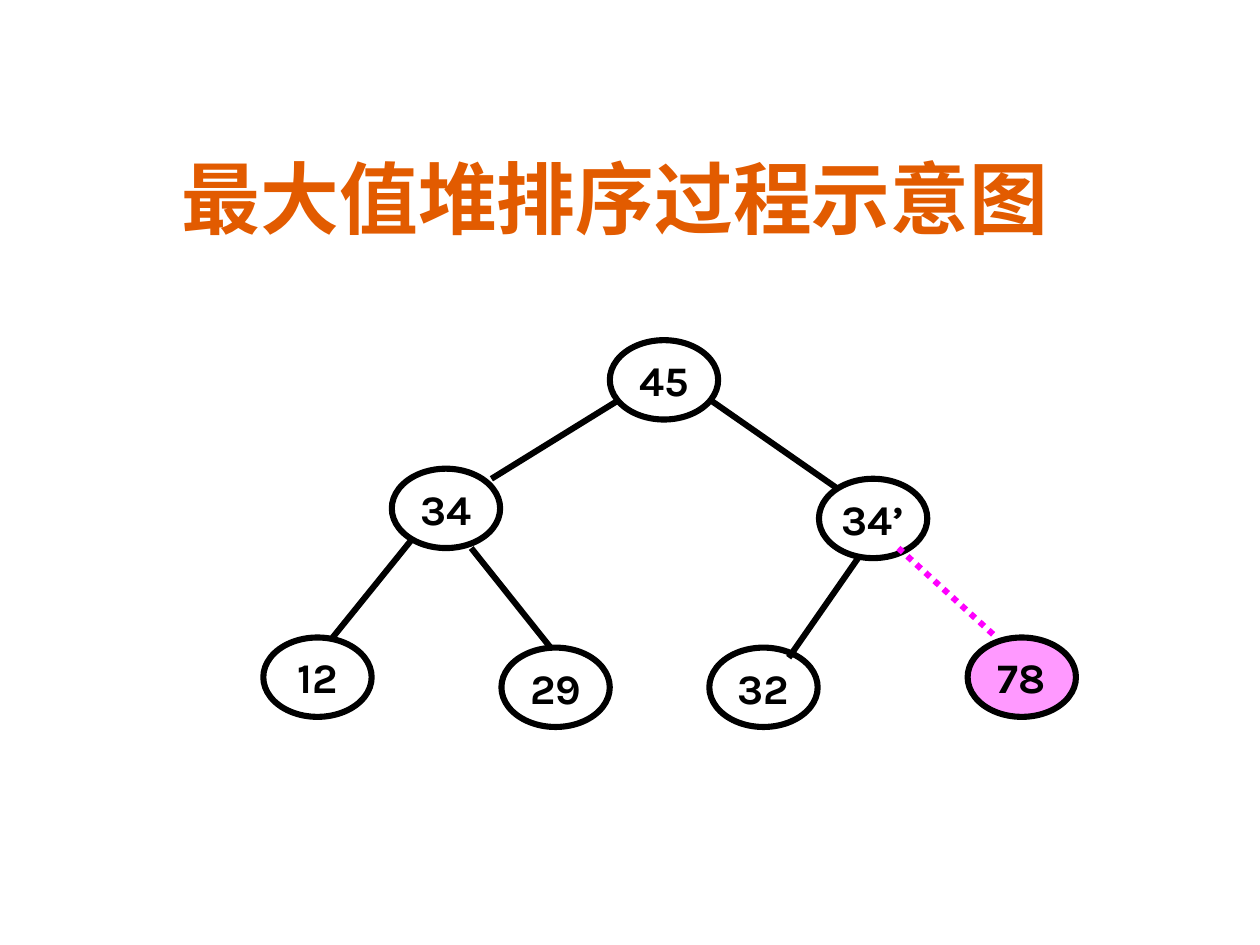
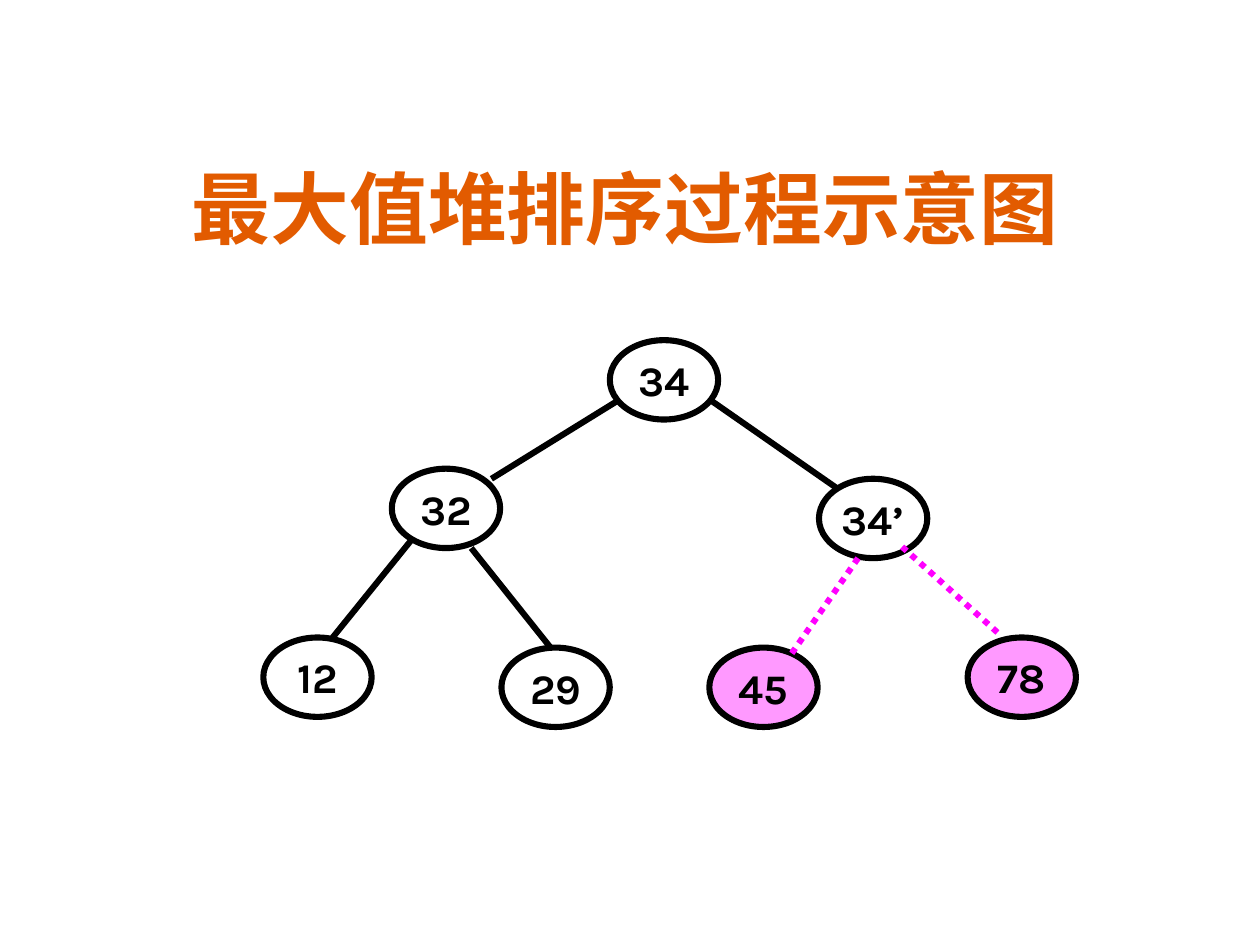
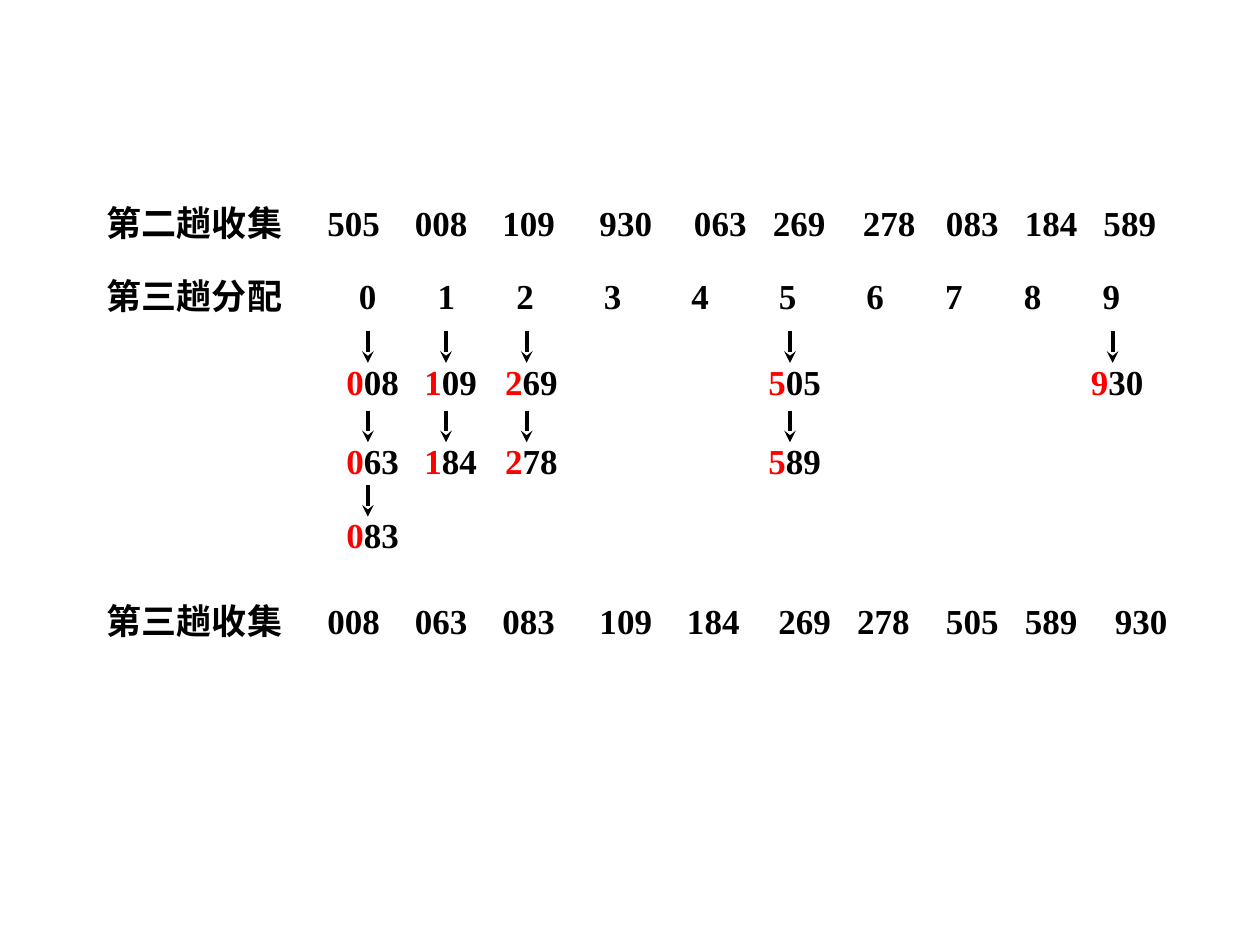
import lxml.etree
import pptx
import pptx.dml.color
import pptx.enum.dml
import pptx.enum.shapes
import pptx.enum.text
import pptx.oxml.ns
import pptx.util

RGBColor = pptx.dml.color.RGBColor
Inches = pptx.util.Inches
Pt = pptx.util.Pt
qn = pptx.oxml.ns.qn
Align = pptx.enum.text.PP_ALIGN
Anchor = pptx.enum.text.MSO_ANCHOR

BLACK = RGBColor(0x00, 0x00, 0x00)
ORANGE = RGBColor(0xE2, 0x5B, 0x00)
PINK = RGBColor(0xFF, 0x99, 0xFF)
MAGENTA = RGBColor(0xFF, 0x00, 0xFF)
RED = RGBColor(0xFF, 0x00, 0x00)

TITLE_FONT, NODE_FONT, TABLE_FONT = "Comic Neue", "Karla", "Times New Roman"


def add_line(page, start, end, color, width):
    line = page.shapes.add_connector(
        pptx.enum.shapes.MSO_CONNECTOR.STRAIGHT,
        *(Inches(length) for length in (*start, *end)))
    line.line.color.rgb = color
    line.line.width = Pt(width)
    lxml.etree.SubElement(line._element.spPr, qn("a:effectLst"))
    return line


def add_table_text(page, left, top, width, parts, tab_stops=()):
    """Add a row text of (text, colour) parts; tab stops are in points."""
    box = page.shapes.add_textbox(
        Inches(left), Inches(top), Inches(width), Inches(ROW_HEIGHT))
    box.text_frame.word_wrap = True
    box.text_frame.auto_size = pptx.enum.text.MSO_AUTO_SIZE.SHAPE_TO_FIT_TEXT
    para = box.text_frame.paragraphs[0]
    if tab_stops:
        tab_list = lxml.etree.SubElement(para._p.get_or_add_pPr(), qn("a:tabLst"))
        for stop in tab_stops:
            lxml.etree.SubElement(tab_list, qn("a:tab"), pos=str(Pt(stop)), algn="l")
    for text, color in parts:
        span = para.add_run()
        span.text = text
        span.font.name = TABLE_FONT
        span.font.size = Pt(20)
        span.font.bold = True
        span.font.color.rgb = color


deck = pptx.Presentation()
deck.slide_width, deck.slide_height = Inches(10), Inches(7.5)
blank = deck.slide_layouts[6]

# Heap trees: nodes in level order, so node n has its parent at (n - 1) // 2
NODE_WIDTH, NODE_HEIGHT = 0.86, 0.63
NODE_PLACES = [(4.84, 2.7), (3.11, 3.72), (6.5, 3.8), (2.09, 5.06),
               (3.98, 5.14), (5.63, 5.14), (7.68, 5.06)]
EDGES = [((4.92, 3.17), (3.9, 3.8)), ((5.63, 3.17), (6.65, 3.88)),
         ((3.27, 4.28), (2.64, 5.06)), ((3.74, 4.35), (4.37, 5.14)),
         ((6.81, 4.43), (6.26, 5.22)), ((7.13, 4.35), (7.91, 5.06))]
LAST_EDGE_SHIFTED = ((7.16, 4.34), (7.95, 5.05))

# Title place, node values, number of nodes still in the heap, edges
HEAPS = [
    ((0.62, 0.39), ["45", "34", "34’", "12", "29", "32", "78"], 6, EDGES),
    ((0.7, 0.47), ["34", "32", "34’", "12", "29", "45", "78"], 5,
     EDGES[:-1] + [LAST_EDGE_SHIFTED]),
]

for (title_left, title_top), values, heap_size, edges in HEAPS:
    page = deck.slides.add_slide(blank)
    title = page.shapes.add_textbox(
        Inches(title_left), Inches(title_top), Inches(8.52), Inches(1.6))
    title.text_frame.word_wrap = True
    title.text_frame.vertical_anchor = Anchor.BOTTOM
    para = title.text_frame.paragraphs[0]
    para.text = "最大值堆排序过程示意图"
    para.alignment = Align.CENTER
    para.font.name = TITLE_FONT
    para.font.size = Pt(45)
    para.font.bold = True
    para.font.color.rgb = ORANGE

    for index, (value, (left, top)) in enumerate(zip(values, NODE_PLACES)):
        node = page.shapes.add_shape(
            pptx.enum.shapes.MSO_SHAPE.OVAL, Inches(left), Inches(top),
            Inches(NODE_WIDTH), Inches(NODE_HEIGHT))
        node.shadow.inherit = False
        if index < heap_size:
            node.fill.background()
        else:
            node.fill.solid()
            node.fill.fore_color.rgb = PINK
        node.line.color.rgb = BLACK
        node.line.width = Pt(3.5)
        node.text_frame.word_wrap = False
        node.text_frame.vertical_anchor = Anchor.MIDDLE
        para = node.text_frame.paragraphs[0]
        para.text = value
        para.alignment = Align.CENTER
        para.font.name = NODE_FONT
        para.font.size = Pt(24)
        para.font.bold = True
        para.font.color.rgb = BLACK

    for child, (start, end) in enumerate(edges, start=1):
        removed = child >= heap_size
        edge = add_line(page, start, end, MAGENTA if removed else BLACK, 3.5)
        if removed:
            edge.line.dash_style = pptx.enum.dml.MSO_LINE.ROUND_DOT

# Radix sort, third pass
ROW_HEIGHT = 0.44
LABEL_LEFT = 0.75
COLLECTED_TOP, DIGITS_TOP, RESULT_TOP = 1.55, 2.13, 4.71
BUCKET_TOPS = [2.81, 3.44, 4.03]
WIDE_STEP, NARROW_STEP = 50, 45

page = deck.slides.add_slide(blank)
for label, top in [("第二趟收集", COLLECTED_TOP), ("第三趟分配", DIGITS_TOP),
                   ("第三趟收集", RESULT_TOP)]:
    add_table_text(page, LABEL_LEFT, top, 2.33, [(label, BLACK)])

NUMBER_GROUPS = [
    (COLLECTED_TOP, 2.5, WIDE_STEP, ["505", "008", "109"]),
    (COLLECTED_TOP, 4.66, WIDE_STEP, ["930"]),
    (COLLECTED_TOP, 5.41, NARROW_STEP, ["063", "269"]),
    (COLLECTED_TOP, 6.75, NARROW_STEP, ["278"]),
    (COLLECTED_TOP, 7.41, NARROW_STEP, ["083", "184", "589"]),
    (RESULT_TOP, 2.5, WIDE_STEP, ["008", "063", "083"]),
    (RESULT_TOP, 4.66, WIDE_STEP, ["109", "184"]),
    (RESULT_TOP, 6.08, NARROW_STEP, ["269", "278"]),
    (RESULT_TOP, 7.41, NARROW_STEP, ["505", "589"]),
    (RESULT_TOP, 8.75, NARROW_STEP, ["930"]),
]
for top, left, step, numbers in NUMBER_GROUPS:
    stops = [step * column for column in range(1, len(numbers))]
    width = 0.75 if left == 8.75 else 2.17
    add_table_text(page, left, top, width, [("\t".join(numbers), BLACK)], stops)

add_table_text(page, 2.75, DIGITS_TOP, 6.92,
               [("\t".join(str(digit) for digit in range(10)), BLACK)],
               [45, 90, 140, 190, 240, 290, 335, 380, 425])

BUCKETS = [(2.65, ["008", "063", "083"]), (3.27, ["109", "184"]),
           (3.91, ["269", "278"]), (6, ["505", "589"]), (8.56, ["930"])]
for left, numbers in BUCKETS:
    for number, top in zip(numbers, BUCKET_TOPS):
        arrow_left, arrow_top = left + 0.27, top - 0.18
        arrow = add_line(page, (arrow_left, arrow_top),
                         (arrow_left, arrow_top + 0.25), BLACK, 2.25)
        lxml.etree.SubElement(arrow.line._get_or_add_ln(), qn("a:tailEnd"),
                              type="stealth")
        add_table_text(page, left, top, 0.75,
                       [(number[0], RED), (number[1:], BLACK)])

deck.save("out.pptx")
